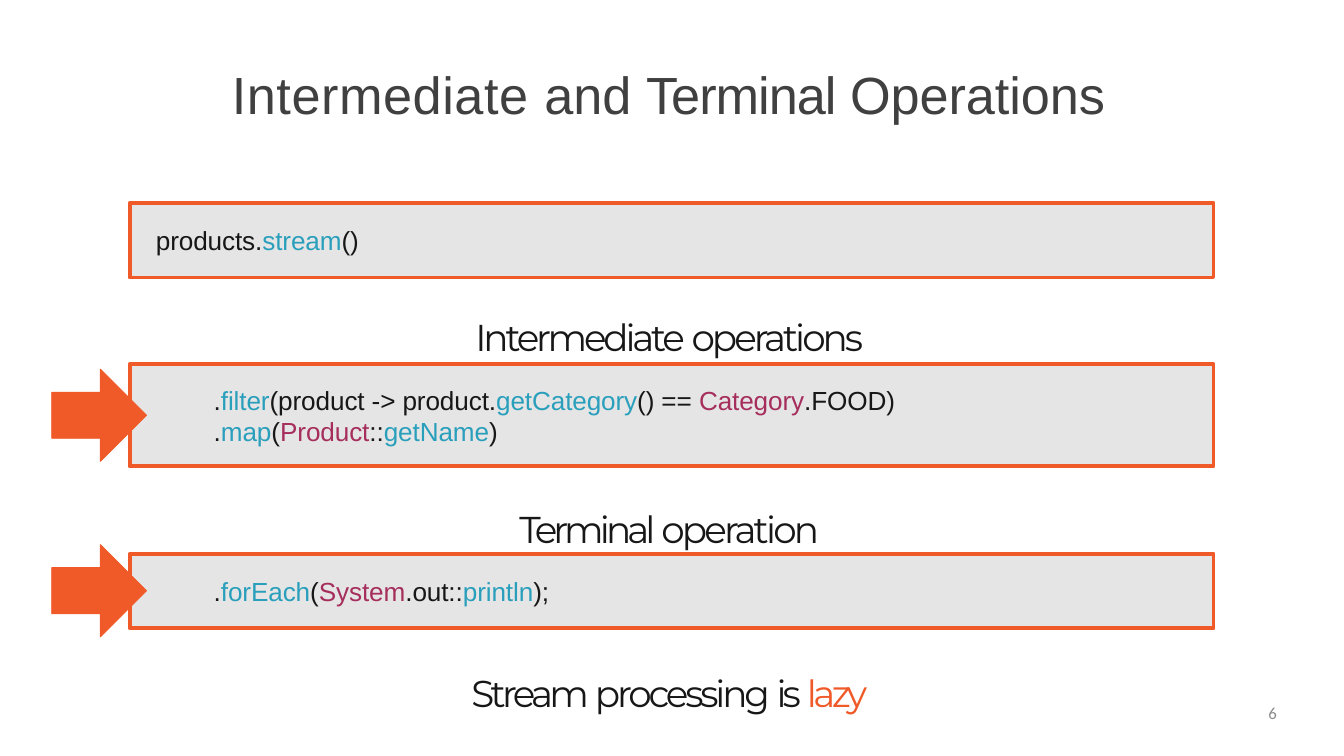
from dataclasses import dataclass

from pptx import Presentation
from pptx.dml.color import RGBColor
from pptx.enum.shapes import MSO_SHAPE
from pptx.enum.text import MSO_ANCHOR, PP_ALIGN
from pptx.util import Inches, Pt

RECT, ARROW = MSO_SHAPE.RECTANGLE, MSO_SHAPE.RIGHT_ARROW
TOP, MIDDLE = MSO_ANCHOR.TOP, MSO_ANCHOR.MIDDLE
LEFT, CENTER, RIGHT = PP_ALIGN.LEFT, PP_ALIGN.CENTER, PP_ALIGN.RIGHT


@dataclass(frozen=True)
class Theme:
    ink: str = "171717"
    method: str = "2A9FBC"
    type_name: str = "A62E5C"
    accent: str = "F05A28"
    panel: str = "E5E5E5"
    title: str = "404040"
    muted: str = "8C8C8C"
    body_font: str = "Arial"
    heading_font: str = "Montserrat"
    number_font: str = "Calibri"
    title_size: int = 56
    heading_size: int = 40
    code_size: int = 28
    number_size: int = 18


T = Theme()
PANEL_LEFT, PANEL_WIDTH = 1.93, 16.13
ARROW_LEFT, ARROW_WIDTH, ARROW_HEIGHT = 0.77, 1.41, 1.37

# Code pieces: (text, colour)
STREAM = [[("products.", T.ink), ("stream", T.method), ("()", T.ink)]]
INTERMEDIATE = [
    [(".", T.ink), ("filter", T.method), ("(product -> product.", T.ink),
     ("getCategory", T.method), ("() == ", T.ink),
     ("Category", T.type_name), (".FOOD)", T.ink)],
    [(".", T.ink), ("map", T.method), ("(", T.ink), ("Product", T.type_name),
     ("::", T.ink), ("getName", T.method), (")", T.ink)],
]
TERMINAL = [[(".", T.ink), ("forEach", T.method), ("(", T.ink),
             ("System", T.type_name), (".out::", T.ink),
             ("println", T.method), (");", T.ink)]]

# Headings: top, then (text, colour, letter spacing)
HEADINGS = [
    (4.67, [("Intermediate ", T.ink, -3.4), ("operations", T.ink, -3.2)]),
    (7.52, [("Terminal ", T.ink, -4.2), ("operation", T.ink, -3)]),
    (9.96, [("Stream ", T.ink, -4), ("processing ", T.ink, -3.4),
            ("is ", T.ink, -4.2), ("lazy", T.accent, -3.8)]),
]


def set_frame(tf, anchor=TOP, left=0, top=0):
    tf.word_wrap = True
    tf.vertical_anchor = anchor
    tf.margin_left, tf.margin_top = Inches(left), Inches(top)
    tf.margin_right = tf.margin_bottom = 0


def add_run(p, text, font, size, color, spacing=0):
    r = p.add_run()
    r.text = text
    r.font.name, r.font.size = font, Pt(size)
    r.font.color.rgb = RGBColor.from_string(color)
    # Letter spacing, in hundredths of a point
    r._r.get_or_add_rPr().set("spc", str(round(spacing * 100)))


def add_text(s, box, runs, font, size, align=LEFT, inset_top=0):
    tf = s.shapes.add_textbox(*map(Inches, box)).text_frame
    set_frame(tf, top=inset_top)
    p = tf.paragraphs[0]
    p.alignment = align
    for text, color, spacing in runs:
        add_run(p, text, font, size, color, spacing)


def add_filled(s, kind, box, fill, line_width):
    sp = s.shapes.add_shape(kind, *map(Inches, box))
    sp.shadow.inherit = False
    sp.fill.solid()
    sp.fill.fore_color.rgb = RGBColor.from_string(fill)
    sp.line.color.rgb = RGBColor.from_string(T.accent)
    sp.line.width = Pt(line_width)
    return sp


def add_code_panel(s, top, height, lines, indent):
    sp = add_filled(s, RECT, (PANEL_LEFT, top, PANEL_WIDTH, height), T.panel, 4)
    tf = sp.text_frame
    set_frame(tf, MIDDLE, left=indent)
    for i, pieces in enumerate(lines):
        p = tf.add_paragraph() if i else tf.paragraphs[0]
        p.alignment = LEFT
        for text, color in pieces:
            add_run(p, text, T.body_font, T.code_size, color, -0.1)


def add_arrow(s, center_y):
    box = (ARROW_LEFT, center_y - ARROW_HEIGHT / 2, ARROW_WIDTH, ARROW_HEIGHT)
    add_filled(s, ARROW, box, T.accent, 1)


def main():
    prs = Presentation()
    prs.slide_width, prs.slide_height = Inches(20), Inches(11.25)
    s = prs.slides.add_slide(prs.slide_layouts[6])

    # Title
    title = [("Intermediate ", T.title, 0.6), ("and ", T.title, 0),
             ("Terminal ", T.title, -1.1), ("Operations", T.title, -0.1)]
    add_text(s, (3.45, 0.82, 13.4, 0.96), title, T.body_font, T.title_size,
             inset_top=0.1)

    # Code panels
    add_code_panel(s, 3.02, 1.11, STREAM, 0.39)
    add_code_panel(s, 5.42, 1.52, INTERMEDIATE, 1.25)
    add_code_panel(s, 8.24, 1.11, TERMINAL, 1.25)

    # Headings and closing line
    for top, runs in HEADINGS:
        add_text(s, (5.96, top, 8, 0.7), runs, T.heading_font,
                 T.heading_size, CENTER, inset_top=0.01)

    # Arrows at the two kinds of operation
    for center_y in (6.18, 8.79):
        add_arrow(s, center_y)

    # Slide number
    add_text(s, (14.4, 10.46, 4.6, 0.56), [("6", T.muted, 0)],
             T.number_font, T.number_size, RIGHT)

    prs.save("out.pptx")


if __name__ == "__main__":
    main()
